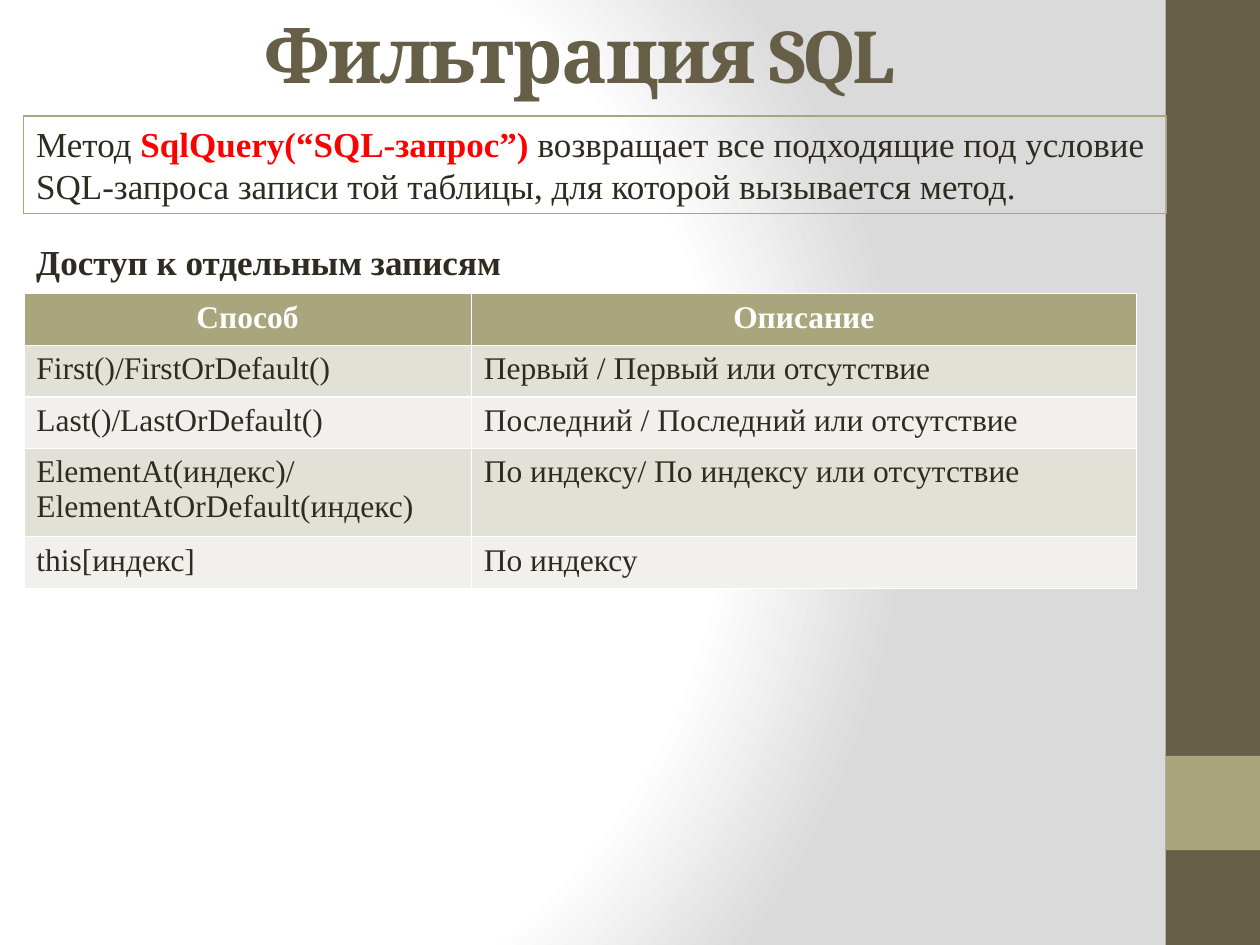
from pptx import Presentation
from pptx import util as u
from pptx.dml.color import RGBColor
from pptx.enum import shapes, text
from pptx.oxml import parse_xml
from pptx.oxml.ns import nsdecls

COLORS = {
    "brown": "675E47", "olive": "A9A57C", "ink": "2F2B20", "red": "FF0000",
    "white": "FFFFFF", "gray": "DADADA", "band_dark": "E2E1D7", "band_light": "F1F0EC",
}
BODY_FONT = "Times New Roman"
METHODS = [
    ("Способ", "Описание"),
    ("First()/FirstOrDefault()", "Первый / Первый или отсутствие"),
    ("Last()/LastOrDefault()", "Последний / Последний или отсутствие"),
    ("ElementAt(индекс)/\nElementAtOrDefault(индекс)", "По индексу/ По индексу или отсутствие"),
    ("this[индекс]", "По индексу"),
]


def color(name):
    return RGBColor.from_string(COLORS[name])


def style(para, size, tint="ink", bold=False, name=BODY_FONT):
    font = para.font
    font.size, font.name, font.bold = u.Pt(size), name, bold
    font.color.rgb = color(tint)


def paint_background(page):
    page.background.fill.solid()
    solid = page.element.xpath(".//p:bgPr/a:solidFill")[0]
    stops = "".join(
        f'<a:gs pos="{share * 1000}"><a:srgbClr val="{COLORS[tint]}"/></a:gs>'
        for share, tint in ((0, "white"), (75, "white"), (100, "gray"))
    )
    gradient = parse_xml(
        f'<a:gradFill {nsdecls("a")} rotWithShape="1"><a:gsLst>{stops}</a:gsLst>'
        '<a:path path="circle"><a:fillToRect l="20000" t="50000" r="100000" b="50000"/></a:path>'
        '</a:gradFill>'
    )
    solid.getparent().replace(solid, gradient)


def add_sidebar(page, left, top, width, height):
    for offset, extent, tint in ((0, height, "brown"), (u.Cm(15.24), width, "olive")):
        bar = page.shapes.add_shape(
            shapes.MSO_SHAPE.RECTANGLE, left, top + offset, width, extent)
        bar.shadow.inherit = False
        bar.fill.solid()
        bar.fill.fore_color.rgb = color(tint)
        bar.line.fill.background()


def add_text(page, left, top, width, height, parts):
    box = page.shapes.add_textbox(left, top, width, height)
    box.text_frame.word_wrap = True
    para = box.text_frame.paragraphs[0]
    for part in parts:
        para.add_run().text = part
    return box, para


def add_title(page, left, top, width, height):
    box, para = add_text(page, left, top, width, height, ["Фильтрация SQL"])
    box.text_frame.vertical_anchor = text.MSO_ANCHOR.MIDDLE
    para.alignment = text.PP_ALIGN.CENTER
    style(para, 44, "brown", True, "Cambria")
    para.runs[0].font._element.set("spc", "-100")


def add_definition(page, left, top, width, height):
    box, para = add_text(page, left, top, width, height, [
        "Метод ",
        "SqlQuery(“SQL-запрос”) ",
        "возвращает все подходящие под условие SQL-запроса записи той таблицы, "
        "для которой вызывается метод.",
    ])
    box.line.color.rgb = color("olive")
    box.line.width = u.Pt(0.75)
    style(para, 20)
    method = para.runs[1].font
    method.bold = True
    method.color.rgb = color("red")


def add_subtitle(page, left, top, width, height):
    box, para = add_text(page, left, top, width, height, ["Доступ к отдельным записям"])
    style(para, 20, bold=True)


def add_methods(page, left, top, width, height):
    table = page.shapes.add_table(len(METHODS), 2, left, top, width, height).table
    table.columns[0].width = u.Cm(9.02)
    table.columns[1].width = width - u.Cm(9.02)
    for row, texts in enumerate(METHODS):
        header = row == 0
        fill = "olive" if header else ("band_light", "band_dark")[row % 2]
        for column, content in enumerate(texts):
            cell = table.cell(row, column)
            cell.text = content
            cell.fill.solid()
            cell.fill.fore_color.rgb = color(fill)
            for para in cell.text_frame.paragraphs:
                style(para, 18, "white" if header else "ink", header)
                if header:
                    para.alignment = text.PP_ALIGN.CENTER


def build_slide(deck):
    page = deck.slides.add_slide(deck.slide_layouts[6])
    paint_background(page)
    regions = [
        (add_sidebar, 23.5, 0, 1.9, 19.05),
        (add_title, 0.25, 0, 22.86, 2.13),
        (add_subtitle, 0.48, 4.72, 22.81, 1.12),
        (add_definition, 0.48, 2.34, 23.04, 1.96),
        (add_methods, 0.48, 5.92, 22.43, 5.2),
    ]
    for add_region, *bounds in regions:
        add_region(page, *map(u.Cm, bounds))


deck = Presentation()
deck.slide_width, deck.slide_height = u.Cm(25.4), u.Cm(19.05)
build_slide(deck)
deck.save("out.pptx")
